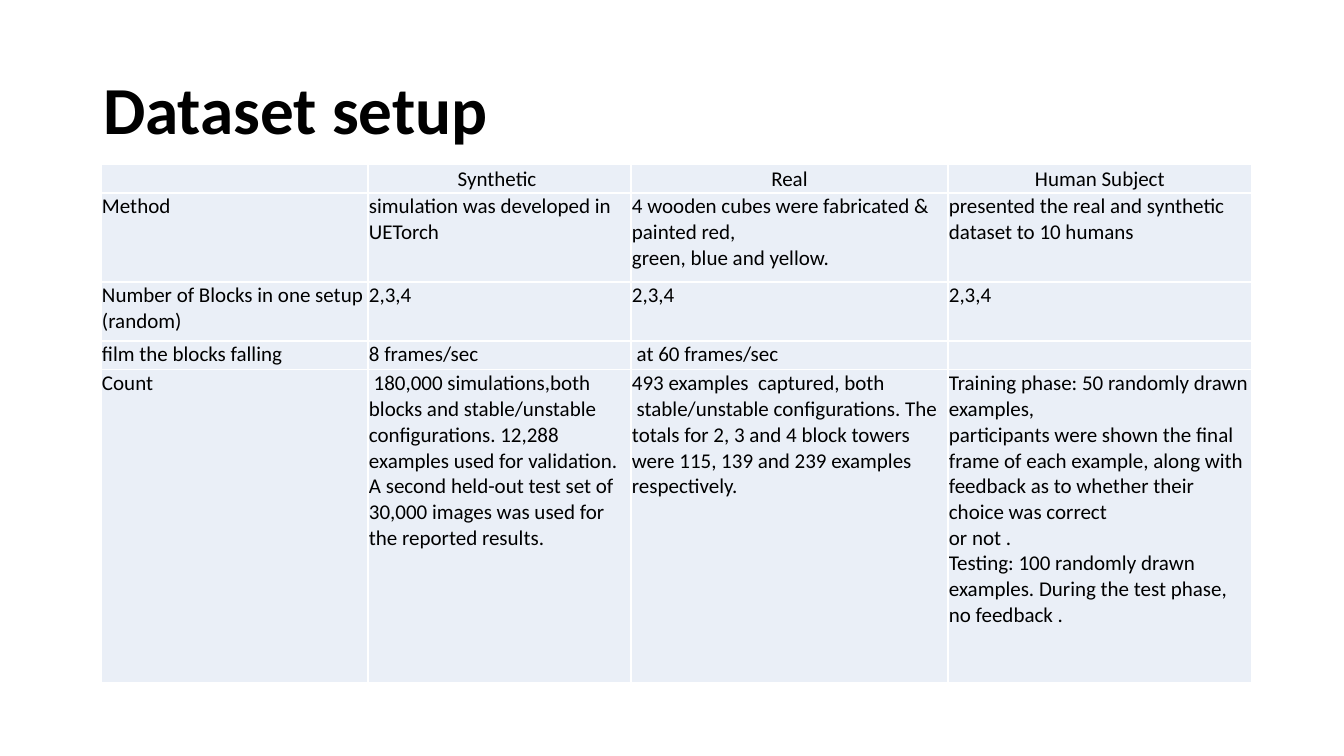
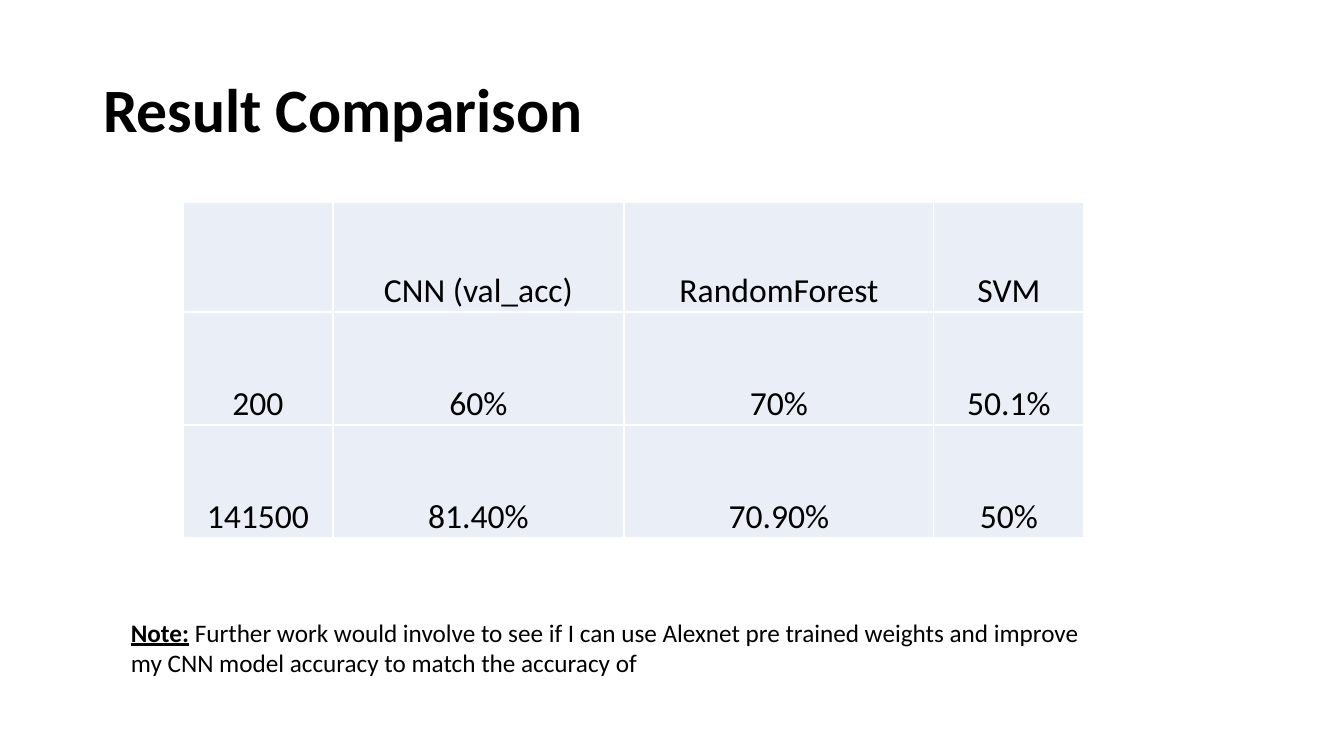
from lxml.etree import SubElement
from pptx import Presentation
from pptx.dml.color import RGBColor as Rgb
from pptx.enum.text import MSO_ANCHOR as Anchor, PP_ALIGN as Align
from pptx.oxml.ns import qn
from pptx.util import Emu, Pt

SCALE = 914400 / 100.8
FONT = "Calibri"
HUES = {"ink": "000000", "cell": "EAEFF7", "line": "FFFFFF"}


def px(n):
    return Emu(round(n * SCALE))


class Deck:
    def __init__(self):
        self.show = Presentation()
        self.show.slide_width, self.show.slide_height = px(1344), px(756)

    def page(self, title, size):
        """Start a slide with its title."""
        self.slide = self.show.slides.add_slide(self.show.slide_layouts[5])
        head = self.slide.shapes.title
        head.left, head.top, head.width, head.height = map(px, (93, 40, 1159, 146))
        frame = head.text_frame
        frame.vertical_anchor = Anchor.MIDDLE
        para = frame.paragraphs[0]
        para.alignment, para.line_spacing = Align.LEFT, 0.9
        self.run(para, title, size, bold=True)

    def run(self, para, text, size, bold=False, under=False):
        """Add text to a paragraph; each newline is a line break."""
        for i, line in enumerate(text.split("\n")):
            if i:
                para.add_line_break()
            run = para.add_run()
            run.text = line
            font = run.font
            font.name, font.size = FONT, Pt(size)
            font.bold, font.underline = bold, under
            font.color.rgb = Rgb.from_string(HUES["ink"])

    def note(self, x, y, w, h, parts, size):
        """Add a text box made of (text, bold, underline) parts."""
        frame = self.slide.shapes.add_textbox(*map(px, (x, y, w, h))).text_frame
        frame.word_wrap = True
        for text, bold, under in parts:
            self.run(frame.paragraphs[0], text, size, bold, under)

    def table(self, x, y, cols, rows, data, size, look):
        """Add a table; look(row) gives the anchor and alignment."""
        box = map(px, (x, y, sum(cols), sum(rows)))
        grid = self.slide.shapes.add_table(len(rows), len(cols), *box).table
        grid.first_row = grid.horz_banding = False
        for col, w in zip(grid.columns, cols):
            col.width = px(w)
        for r, (row, h) in enumerate(zip(grid.rows, rows)):
            row.height = px(h)
            for cell, text in zip(row.cells, data[r]):
                self.cell(cell, text, size, *look(r))

    def cell(self, cell, text, size, anchor, align):
        cell.margin_left = cell.margin_right = cell.margin_top = px(1)
        cell.margin_bottom = 0
        cell.vertical_anchor = anchor
        para = cell.text_frame.paragraphs[0]
        para.alignment = align
        if text:
            self.run(para, text, size)
        else:
            SubElement(para._p, qn("a:endParaRPr"), sz=str(size * 100))
        # Borders come before the fill in the cell properties
        props = cell._tc.get_or_add_tcPr()
        for side in "LRTB":
            edge = SubElement(props, qn(f"a:ln{side}"), w=str(Pt(1)))
            fill = SubElement(edge, qn("a:solidFill"))
            SubElement(fill, qn("a:srgbClr"), val=HUES["line"])
        cell.fill.solid()
        cell.fill.fore_color.rgb = Rgb.from_string(HUES["cell"])


deck = Deck()

# Dataset setup
deck.page("Dataset setup", 48)
setup = [
    ["", "Synthetic ", "Real", "Human Subject"],
    ["Method ",
     "simulation was developed in UETorch",
     "4 wooden cubes were fabricated &  painted red,\ngreen, blue and yellow.",
     "presented the real and synthetic dataset to 10 humans"],
    ["Number of Blocks in one setup (random)"] + ["2,3,4"] * 3,
    ["film the blocks falling", "8 frames/sec", " at 60 frames/sec", ""],
    ["Count",
     " 180,000 simulations,both\nblocks and stable/unstable configurations. "
     "12,288 examples used for validation. A second held-out test set of "
     "30,000 images was used for the reported results.",
     "493 examples  captured, both\n stable/unstable configurations. The "
     "totals for 2, 3 and 4 block towers were 115, 139 and 239 examples "
     "respectively.",
     "Training phase: 50 randomly drawn examples,\nparticipants were shown "
     "the final frame of each example, along with feedback as to whether "
     "their choice was correct\nor not .\nTesting: 100 randomly drawn "
     "examples. During the test phase, no feedback ."],
]
deck.table(101, 164, [267, 263, 317, 304], [29, 89, 59, 29, 313], setup, 15,
           lambda r: (Anchor.TOP, Align.LEFT) if r else (Anchor.MIDDLE, Align.CENTER))

# Result comparison
deck.page("Result Comparison", 44)
scores = [
    ["", "CNN (val_acc)", "RandomForest", "SVM"],
    ["200", "60%", "70%", "50.1%"],
    ["141500", "81.40%", "70.90%", "50%"],
]
deck.table(183, 202, [150, 291, 310, 150], [110, 113, 113], scores, 24,
           lambda r: (Anchor.BOTTOM, Align.CENTER))
deck.note(121, 612, 996, 72, [
    ("Note:", True, True),
    (" ", True, False),
    ("Further work would involve to see if I can use Alexnet pre trained "
     "weights and improve my CNN model accuracy to match the accuracy of ",
     False, False),
], 18)

deck.show.save("out.pptx")
